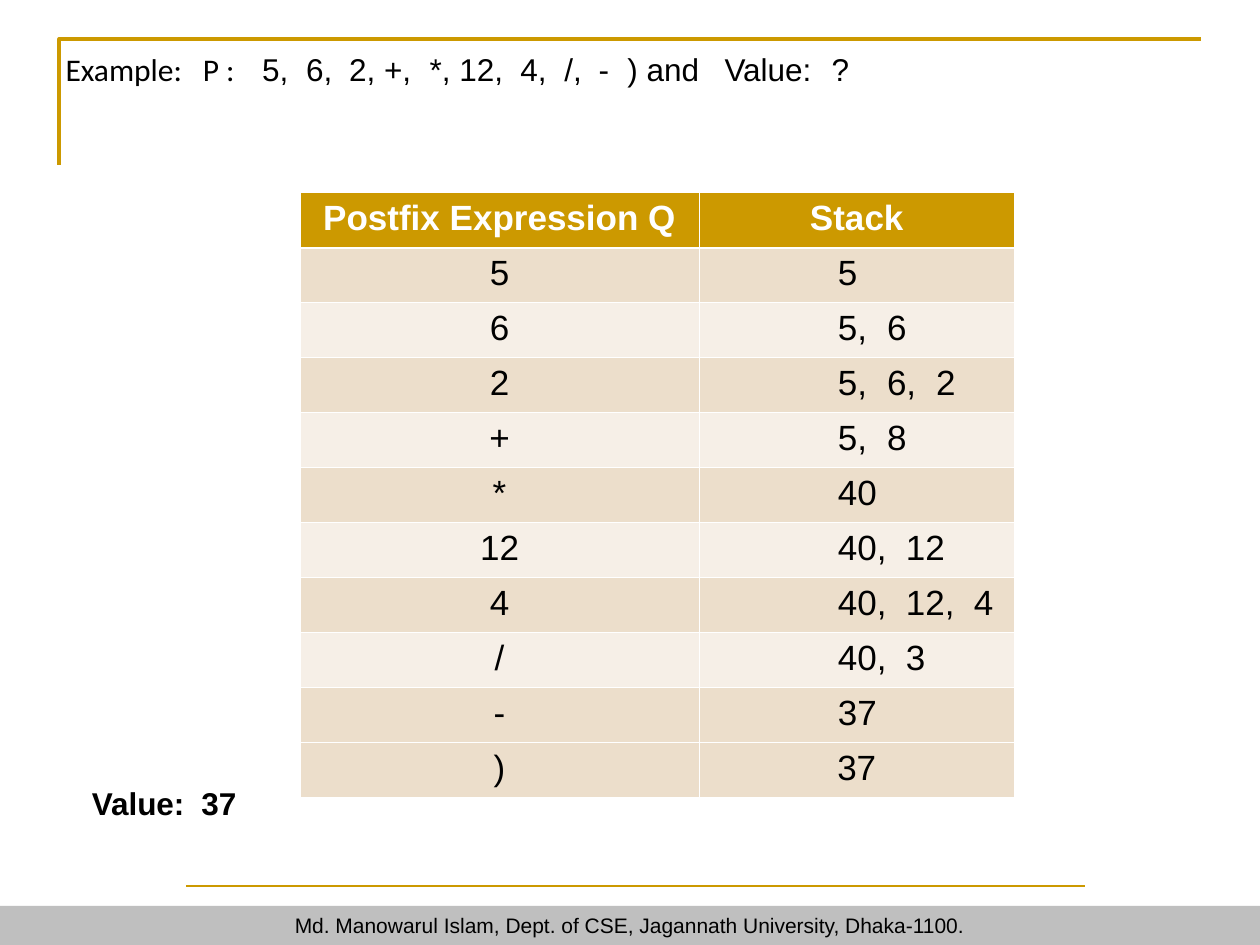
from lxml.etree import SubElement
from pptx import Presentation
from pptx.dml.color import RGBColor
from pptx.enum.shapes import MSO_CONNECTOR, MSO_SHAPE
from pptx.enum.text import MSO_ANCHOR, PP_ALIGN
from pptx.oxml.ns import qn
from pptx.util import Inches, Pt

COLORS = {
    "gold": "CC9900",
    "sand": "ECDECB",
    "cream": "F6EFE7",
    "gray": "BFBFBF",
    "black": "000000",
    "white": "FFFFFF",
}

STACK_STEPS = [
    ("5", "5"),
    ("6", "5,\t6"),
    ("2", "5,\t6,\t2"),
    ("+", "5,\t8"),
    ("*", "40"),
    ("12", "40,\t12"),
    ("4", "40,\t12,\t4"),
    ("/", "40,\t3"),
    ("-", "37"),
    (")", "37"),
]
TITLE_STOPS = [1.09, 1.56, 1.91, 2.25, 2.89, 3.61, 3.96, 4.23, 4.46, 5.23, 6.08]


def rgb(name):
    return RGBColor.from_string(COLORS[name])


def set_tab_stops(paragraph, stops):
    tab_list = SubElement(paragraph._p.get_or_add_pPr(), qn("a:tabLst"))
    for stop in stops:
        SubElement(tab_list, qn("a:tab"), pos=str(Inches(stop)), algn="l")


def add_text(paragraph, text, size=18, font="Arial", color="black", bold=False, align=None, stops=()):
    if stops:
        set_tab_stops(paragraph, stops)
    if align is not None:
        paragraph.alignment = align
    run = paragraph.add_run()
    run.text = text
    run.font.size = Pt(size)
    run.font.name = font
    run.font.bold = bold
    run.font.color.rgb = rgb(color)


def add_frame(slide):
    builder = slide.shapes.build_freeform(Inches(0.47), Inches(1.31))
    builder.add_line_segments([(Inches(0.47), Inches(0.31)), (Inches(9.53), Inches(0.31))], close=False)
    frame = builder.convert_to_shape()
    frame.shadow.inherit = False
    frame.fill.background()
    frame.line.color.rgb = rgb("gold")
    frame.line.width = Pt(2)


def add_footer(slide):
    rule = slide.shapes.add_connector(
        MSO_CONNECTOR.STRAIGHT, Inches(1.48), Inches(7.03), Inches(8.61), Inches(7.03)
    )
    rule.line.color.rgb = rgb("gold")
    rule.line.width = Pt(1)
    SubElement(rule._element.spPr, qn("a:effectLst"))

    bar = slide.shapes.add_shape(MSO_SHAPE.RECTANGLE, 0, Inches(7.19), Inches(10), Inches(0.31))
    bar.shadow.inherit = False
    bar.fill.solid()
    bar.fill.fore_color.rgb = rgb("gray")
    bar.line.fill.background()
    add_text(
        bar.text_frame.paragraphs[0],
        "Md. Manowarul Islam, Dept. of CSE, Jagannath University, Dhaka-1100.",
        size=12,
        align=PP_ALIGN.CENTER,
    )


def add_title(slide):
    title = slide.shapes.title
    title.left, title.top = Inches(0.42), Inches(0.35)
    title.width, title.height = Inches(9.17), Inches(0.4)
    title.text_frame.vertical_anchor = MSO_ANCHOR.TOP
    paragraph = title.text_frame.paragraphs[0]
    add_text(paragraph, "Example:\tP :\t", font="Calibri", align=PP_ALIGN.LEFT, stops=TITLE_STOPS)
    add_text(paragraph, "5,\t6,\t2, +,\t*, 12,\t4,\t/,\t-\t) and\tValue:\t?")


def set_borders(cell, **widths):
    properties = cell._tc.get_or_add_tcPr()
    for position, side in enumerate(("lnL", "lnR", "lnT", "lnB")):
        width = Pt(widths.get(side, 0.45))
        border = properties.makeelement(qn(f"a:{side}"), {"w": str(width)})
        fill = SubElement(border, qn("a:solidFill"))
        SubElement(fill, qn("a:srgbClr"), val=COLORS["white"])
        properties.insert(position, border)


def fill_cell(cell, text, fill, borders, **text_format):
    cell.fill.solid()
    cell.fill.fore_color.rgb = rgb(fill)
    set_borders(cell, **borders)
    add_text(cell.text_frame.paragraphs[0], text, size=20, **text_format)


def add_stack_table(slide):
    row_count = len(STACK_STEPS) + 1
    table = slide.shapes.add_table(
        row_count, 2, Inches(2.38), Inches(1.53), Inches(5.67), Inches(4.8)
    ).table
    for column, width in zip(table.columns, (3.17, 2.5)):
        column.width = Inches(width)
    for row in table.rows:
        row.height = Inches(4.8 / row_count)

    for column, heading in enumerate(("Postfix Expression Q", "Stack")):
        fill_cell(table.cell(0, column), heading, "gold", {"lnB": 1.47},
                  color="white", bold=True, align=PP_ALIGN.CENTER)

    last = len(STACK_STEPS)
    for row, (symbol, stack) in enumerate(STACK_STEPS, start=1):
        fill = "sand" if row % 2 or row == last else "cream"
        borders = {"lnT": 1.47} if row == 1 else {}
        fill_cell(table.cell(row, 0), symbol, fill, borders, align=PP_ALIGN.CENTER)
        stack_cell = table.cell(row, 1)
        if row == last:
            fill_cell(stack_cell, stack, fill, borders, align=PP_ALIGN.CENTER)
        else:
            stack_cell.margin_left = Inches(1.1)
            pitch = 0.54 if stack.startswith("40") else 0.39
            stops = [pitch * number for number in range(1, stack.count("\t") + 1)]
            fill_cell(stack_cell, stack, fill, borders, align=PP_ALIGN.LEFT, stops=stops)


def add_result(slide):
    box = slide.shapes.add_textbox(Inches(0.63), Inches(6.17), Inches(5.75), Inches(0.4))
    box.text_frame.word_wrap = True
    add_text(box.text_frame.paragraphs[0], "Value:\t37", bold=True, stops=[0.87])


def main():
    presentation = Presentation()
    presentation.slide_width = Inches(10)
    presentation.slide_height = Inches(7.5)
    slide = presentation.slides.add_slide(presentation.slide_layouts[5])
    add_footer(slide)
    add_frame(slide)
    add_title(slide)
    add_stack_table(slide)
    add_result(slide)
    presentation.save("out.pptx")


if __name__ == "__main__":
    main()
